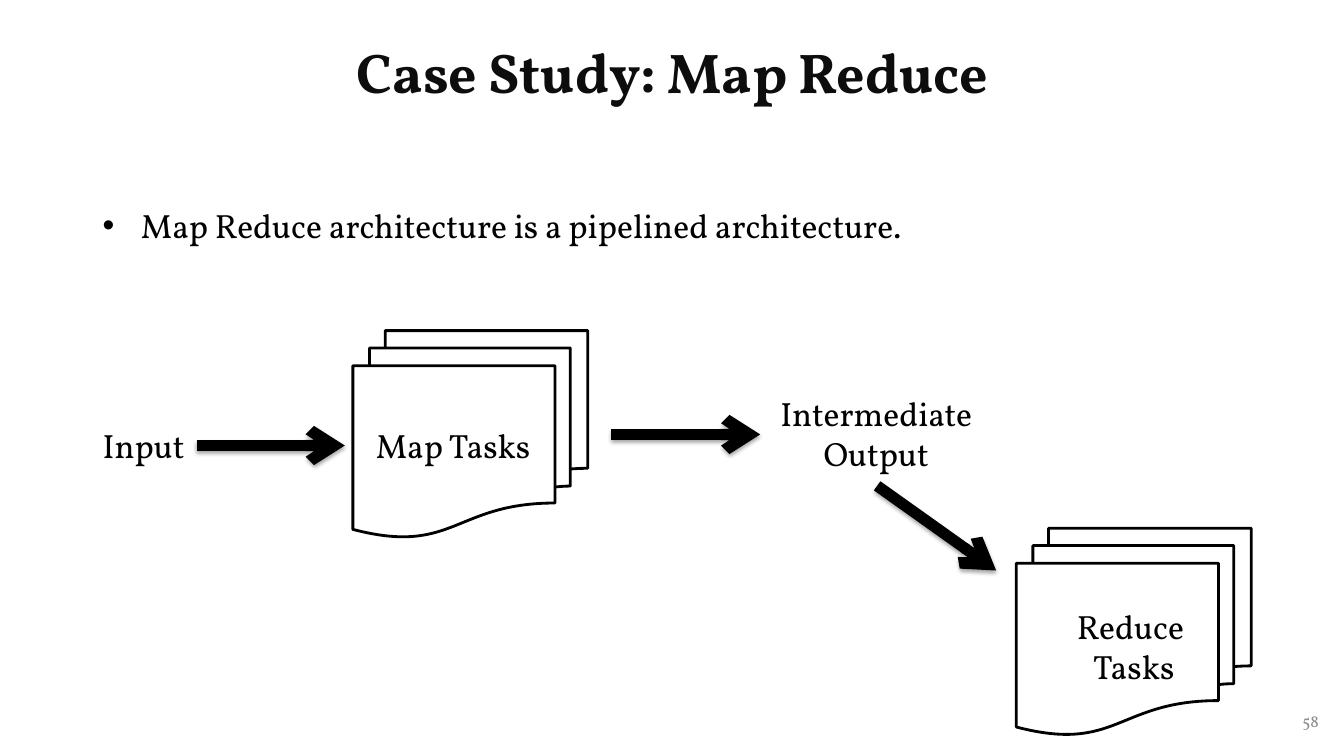
from dataclasses import dataclass

from lxml import etree
from pptx import Presentation
from pptx import util as u
from pptx.dml.color import RGBColor
from pptx.enum import shapes, text
from pptx.oxml import ns, parse_xml
from pptx.slide import Slide

FONT = "Vollkorn"
BLACK = "000000"
STACK_WIDTH, STACK_HEIGHT = 2.33, 2.05
SHADOW = f"""<a:effectLst {ns.nsdecls("a")}>
  <a:outerShdw blurRad="{u.Pt(3.1)}" dist="{u.Pt(1.8)}" dir="5400000" rotWithShape="0">
    <a:srgbClr val="{BLACK}"><a:alpha val="35000"/></a:srgbClr>
  </a:outerShdw>
</a:effectLst>"""


@dataclass(frozen=True)
class Label:
    wording: str
    left: float
    top: float
    width: float
    height: float
    align: text.PP_ALIGN = text.PP_ALIGN.LEFT


@dataclass(frozen=True)
class Flow:
    start: tuple[float, float]
    end: tuple[float, float]


@dataclass(frozen=True)
class TaskStack:
    left: float
    top: float


STAGE_LABELS = [
    Label("Input", 0.92, 4.17, 1.03, 0.5),
    Label("Map Tasks", 3.63, 4.17, 1.79, 0.5),
    Label("Intermediate\nOutput", 7.63, 3.85, 2.12, 0.91, text.PP_ALIGN.CENTER),
    Label("Reduce \nTasks", 10.55, 5.96, 1.39, 0.91, text.PP_ALIGN.CENTER),
]
FLOWS = [
    Flow((1.95, 4.42), (3.42, 4.42)),
    Flow((6.06, 4.31), (7.54, 4.31)),
    Flow((8.7, 4.82), (9.88, 5.66)),
]
TASK_STACKS = [TaskStack(3.5, 3.28), TaskStack(10.08, 5.24)]


def color(value: str) -> RGBColor:
    return RGBColor.from_string(value)


def add_text(
    slide: Slide,
    label: Label,
    *,
    size: float = 24,
    ink: str = BLACK,
    bold: bool = False,
    wrap: bool = True,
    grow: bool = True,
    spacing: float | None = None,
    bullet: str | None = None,
) -> None:
    box = slide.shapes.add_textbox(
        u.Inches(label.left), u.Inches(label.top),
        u.Inches(label.width), u.Inches(label.height),
    )
    frame = box.text_frame
    frame.word_wrap = wrap
    frame.auto_size = (
        text.MSO_AUTO_SIZE.SHAPE_TO_FIT_TEXT if grow else text.MSO_AUTO_SIZE.NONE
    )
    frame.vertical_anchor = text.MSO_ANCHOR.TOP if grow else text.MSO_ANCHOR.MIDDLE
    frame.text = label.wording
    for paragraph in frame.paragraphs:
        paragraph.alignment = label.align
        if spacing:
            paragraph.line_spacing = spacing
        if bullet:
            properties = paragraph._p.get_or_add_pPr()
            properties.set("marL", str(u.Inches(0.38)))
            properties.set("indent", str(u.Inches(-0.38)))
            etree.SubElement(properties, ns.qn("a:buFont"), typeface="Arial")
            etree.SubElement(properties, ns.qn("a:buChar"), char=bullet)
        for run in paragraph.runs:
            run.font.name = FONT
            run.font.size = u.Pt(size)
            run.font.bold = bold
            run.font.color.rgb = color(ink)


def add_flow(slide: Slide, flow: Flow) -> None:
    arrow = slide.shapes.add_connector(
        shapes.MSO_CONNECTOR.STRAIGHT,
        *map(u.Inches, flow.start), *map(u.Inches, flow.end),
    )
    arrow.line.width = u.Pt(8)
    arrow.line.color.rgb = color(BLACK)
    etree.SubElement(arrow.line._get_or_add_ln(), ns.qn("a:tailEnd"), type="arrow")
    arrow._element.spPr.append(parse_xml(SHADOW))


def add_task_stack(slide: Slide, stack: TaskStack) -> None:
    pages = slide.shapes.add_shape(
        shapes.MSO_SHAPE.FLOWCHART_MULTIDOCUMENT,
        u.Inches(stack.left), u.Inches(stack.top),
        u.Inches(STACK_WIDTH), u.Inches(STACK_HEIGHT),
    )
    pages.shadow.inherit = False
    pages.fill.background()
    pages.line.width = u.Pt(2)
    pages.line.color.rgb = color(BLACK)


def main() -> None:
    deck = Presentation()
    deck.slide_width, deck.slide_height = u.Inches(13.33), u.Inches(7.5)
    slide = deck.slides.add_slide(deck.slide_layouts[6])

    title = Label("Case Study: Map Reduce", 0.92, 0, 11.5, 1.5, text.PP_ALIGN.CENTER)
    add_text(slide, title, size=40, ink="0D0D0D", bold=True, grow=False, spacing=0.9)
    page_number = Label("58", 10.18, 6.95, 3, 0.4, text.PP_ALIGN.RIGHT)
    add_text(slide, page_number, size=12, ink="8C8C8C", grow=False)
    statement = Label(
        "Map Reduce architecture is a pipelined architecture.", 0.92, 1.98, 11.76, 0.5
    )
    add_text(slide, statement, bullet="•")

    for stack in TASK_STACKS:
        add_task_stack(slide, stack)
    for label in STAGE_LABELS:
        add_text(slide, label, wrap=False)
    for flow in FLOWS:
        add_flow(slide, flow)

    deck.save("out.pptx")


if __name__ == "__main__":
    main()
